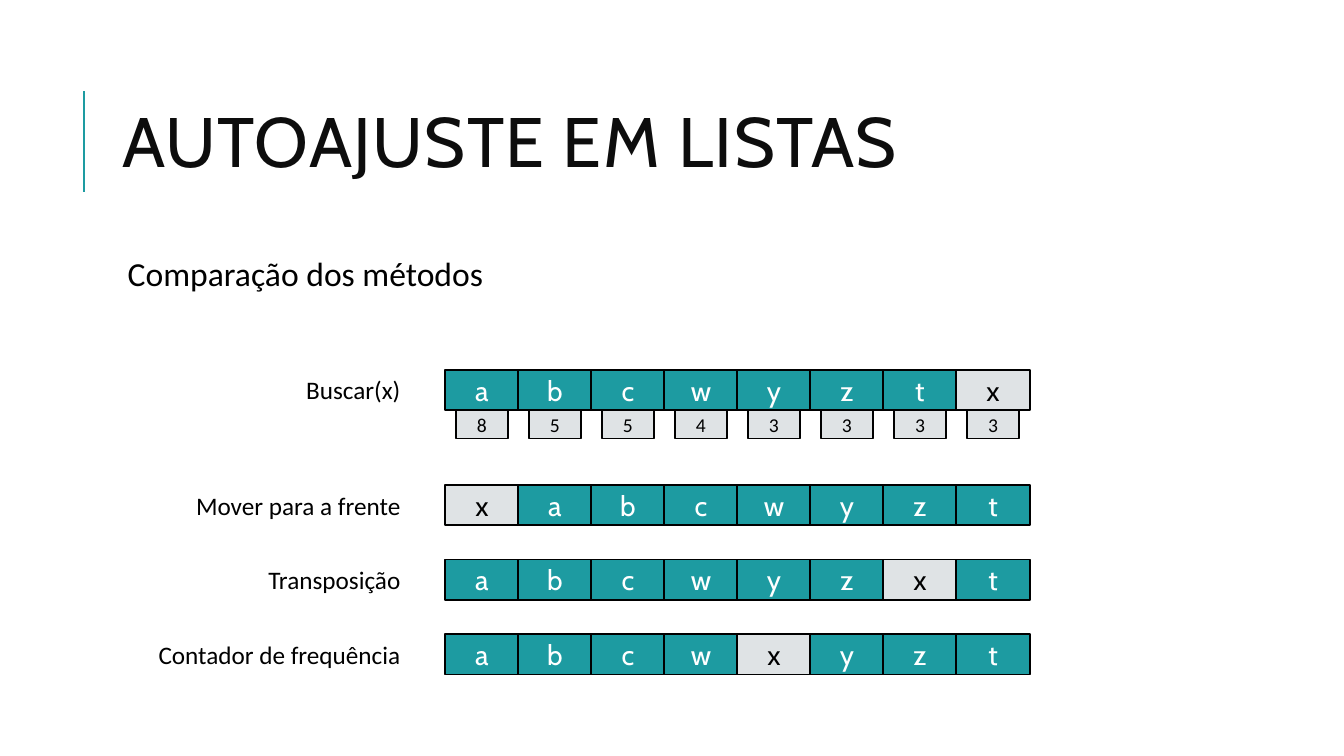
from pptx import Presentation
from pptx.dml.color import RGBColor
from pptx.enum.shapes import MSO_CONNECTOR as CONN, MSO_SHAPE as SHAPE
from pptx.enum.text import MSO_ANCHOR as ANCHOR, PP_ALIGN as ALIGN
from pptx.oxml.ns import qn
from pptx.util import Cm, Pt

TITLE = "AUTOAJUSTE EM LISTAS"
SUBTITLE = "Comparação dos métodos"
LISTS = [
    ("Buscar(x)", "abcwyztx", 9.32),
    ("Mover para a frente", "xabcwyzt", 12.22),
    ("Transposição", "abcwyzxt", 14.1),
    ("Contador de frequência", "abcwxyzt", 15.98),
]
COUNTS = "85543333"
FOUND = "x"

TEAL, GRAY, BLACK, WHITE, INK = "1D9BA1", "DFE3E5", "000000", "FFFFFF", "0D0D0D"
LEFT, PITCH = 11.22, 1.84
CELL_W, CELL_H = 1.85, 1.02
COUNT_W, COUNT_H = 1.3, 0.71

TITLE_FONT = dict(name="Cabin", size=Pt(50))
BODY_FONT = dict(name="Calibri", size=Pt(24))
LABEL_FONT = dict(name="Calibri", size=Pt(18))
CELL_FONT = dict(name="Cabin", size=Pt(20))
COUNT_FONT = dict(name="Calibri", size=Pt(14))


def rgb(value):
    return RGBColor.from_string(value)


def write(sp, text, font, color, align=ALIGN.LEFT, anchor=ANCHOR.TOP, spacing=1.0):
    tf = sp.text_frame
    tf.word_wrap = True
    tf.vertical_anchor = anchor
    p = tf.paragraphs[0]
    p.alignment = align
    p.line_spacing = spacing
    r = p.add_run()
    r.text = text
    for key, value in font.items():
        setattr(r.font, key, value)
    r.font.color.rgb = rgb(color)
    return r


def add_text(s, box, *args, **kwargs):
    sp = s.shapes.add_textbox(*map(Cm, box))
    return sp, write(sp, *args, **kwargs)


def add_box(s, box, text, font, fill, color):
    sp = s.shapes.add_shape(SHAPE.RECTANGLE, *map(Cm, box))
    sp.shadow.inherit = False
    sp.fill.solid()
    sp.fill.fore_color.rgb = rgb(fill)
    sp.line.color.rgb = rgb(BLACK)
    sp.line.width = Pt(1.25)
    write(sp, text, font, color, ALIGN.CENTER, ANCHOR.MIDDLE)


def add_heading(s):
    bar = s.shapes.add_connector(CONN.STRAIGHT, Cm(2.12), Cm(4.83), Cm(2.12), Cm(2.29))
    bar.line.color.rgb = rgb(TEAL)
    bar.line.width = Pt(1.5)
    sp_pr = bar._element.spPr
    sp_pr.append(sp_pr.makeelement(qn("a:effectLst"), {}))

    sp, r = add_text(s, (2.84, 1.63, 27, 4.17), TITLE, TITLE_FONT, INK,
                     anchor=ANCHOR.MIDDLE, spacing=0.8)
    r.font._element.set("spc", "100")

    sp, r = add_text(s, (2.84, 6.35, 27, 11.18), SUBTITLE, BODY_FONT, BLACK, spacing=0.9)
    tf = sp.text_frame
    tf.margin_left = Cm(0.38)
    tf.margin_top = tf.margin_right = tf.margin_bottom = Cm(0.13)


def add_lists(s):
    count_top = LISTS[0][2] + CELL_H
    count_left = LEFT + (CELL_W - COUNT_W) / 2
    for i, count in enumerate(COUNTS):
        box = (count_left + i * PITCH, count_top, COUNT_W, COUNT_H)
        add_box(s, box, count, COUNT_FONT, GRAY, BLACK)
    for label, items, top in LISTS:
        add_text(s, (3.53, top, 6.81, CELL_H), label, LABEL_FONT, BLACK, align=ALIGN.RIGHT)
        for i, item in enumerate(items):
            fill, color = (GRAY, BLACK) if item == FOUND else (TEAL, WHITE)
            box = (LEFT + i * PITCH, top, CELL_W, CELL_H)
            add_box(s, box, item, CELL_FONT, fill, color)


def main():
    prs = Presentation()
    prs.slide_width, prs.slide_height = Cm(33.87), Cm(19.05)
    s = prs.slides.add_slide(prs.slide_layouts[6])
    add_heading(s)
    add_lists(s)
    prs.save("out.pptx")


if __name__ == "__main__":
    main()
